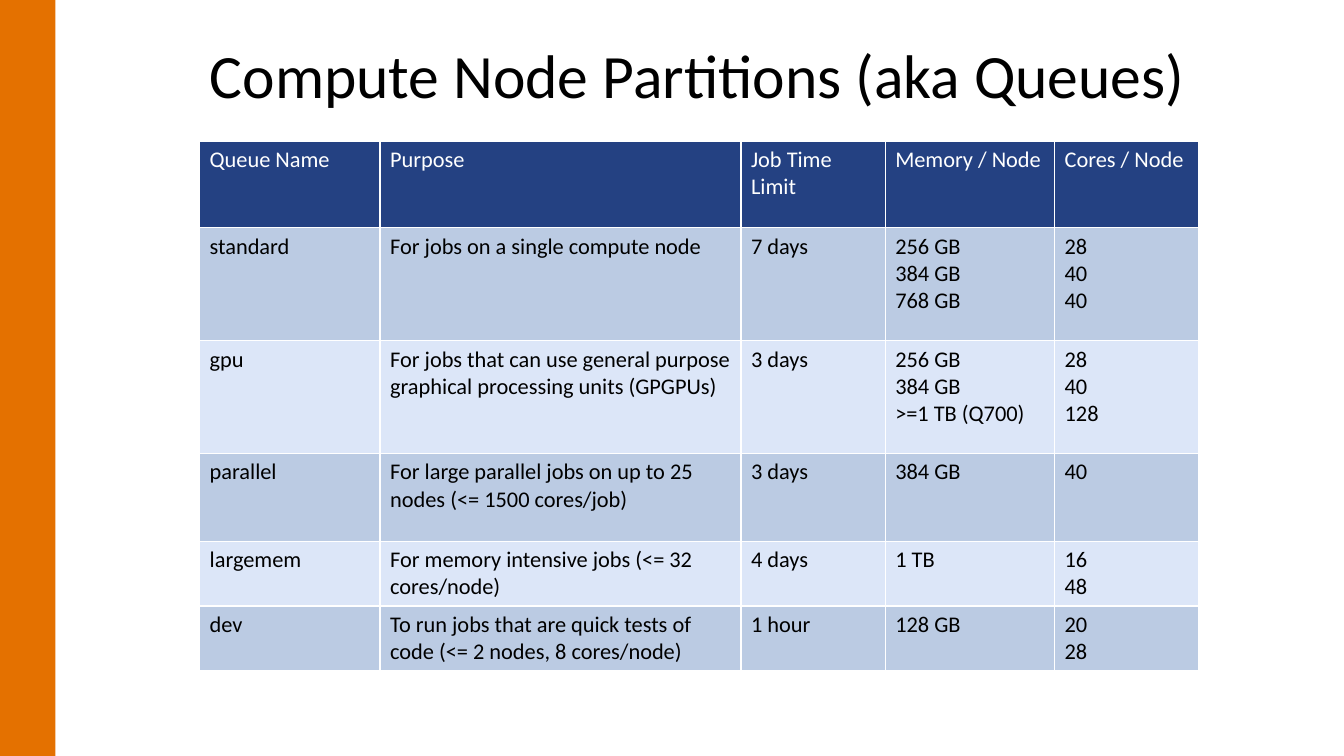
"""Build a slide with a table of the compute node partitions."""
import lxml.etree
import pptx
import pptx.dml.color
import pptx.enum.shapes
import pptx.enum.text
import pptx.oxml.ns
import pptx.util

Inches = pptx.util.Inches
Pt = pptx.util.Pt
FONT = "Calibri"
COLORS = {
    "bar": "E47100",
    "head": "244182",
    "dark": "BBCBE3",
    "light": "DCE6F8",
    "text": "000000",
    "white": "FFFFFF",
}
WIDTHS = [1.79, 3.58, 1.43, 1.68, 1.43]
HEIGHTS = [0.86, 1.12, 1.12, 0.87, 0.64, 0.64]
QUEUES = [
    ["Queue Name", "Purpose", "Job Time Limit", "Memory / Node", "Cores / Node"],
    ["standard", "For jobs on a single compute node", "7 days",
     "256 GB\n384 GB\n768 GB", "28\n40\n40"],
    ["gpu", "For jobs that can use general purpose graphical processing units (GPGPUs)",
     "3 days", "256 GB\n384 GB\n>=1 TB (Q700)", "28\n40\n128"],
    ["parallel", "For large parallel jobs on up to 25 nodes (<= 1500 cores/job)",
     "3 days", "384 GB", "40"],
    ["largemem", "For memory intensive jobs (<= 32 cores/node)", "4 days",
     "1 TB", "16\n48"],
    ["dev", "To run jobs that are quick tests of code (<= 2 nodes, 8 cores/node)",
     "1 hour", "128 GB", "20\n28"],
]


def color(name):
    return pptx.dml.color.RGBColor.from_string(COLORS[name])


def style(frame, size, name):
    for para in frame.paragraphs:
        for run in para.runs:
            run.font.name = FONT
            run.font.size = Pt(size)
            run.font.bold = False
            run.font.color.rgb = color(name)


def add_bar(slide, height):
    bar = slide.shapes.add_shape(
        pptx.enum.shapes.MSO_SHAPE.RECTANGLE, 0, 0, Inches(0.55), height)
    bar.shadow.inherit = False
    bar.fill.solid()
    bar.fill.fore_color.rgb = color("bar")
    bar.line.fill.background()


def set_title(slide, text):
    title = slide.shapes.title
    title.left, title.top = Inches(1.98), Inches(0.4)
    title.width, title.height = Inches(10.5), Inches(1.45)
    frame = title.text_frame
    frame.text = text
    frame.word_wrap = True
    frame.auto_size = pptx.enum.text.MSO_AUTO_SIZE.NONE
    frame.vertical_anchor = pptx.enum.text.MSO_ANCHOR.TOP
    para = frame.paragraphs[0]
    para.alignment = pptx.enum.text.PP_ALIGN.LEFT
    para.line_spacing = 0.9
    style(frame, 44, "text")


def set_edges(cell):
    props = cell._tc.get_or_add_tcPr()
    qn = pptx.oxml.ns.qn
    for side in "LRTB":
        line = lxml.etree.SubElement(props, qn(f"a:ln{side}"), w=str(Pt(1)))
        fill = lxml.etree.SubElement(line, qn("a:solidFill"))
        lxml.etree.SubElement(fill, qn("a:srgbClr"), val=COLORS["white"])


def fill_cell(cell, text, back, fore):
    cell.text_frame.text = text
    style(cell.text_frame, 16, fore)
    set_edges(cell)
    cell.fill.solid()
    cell.fill.fore_color.rgb = color(back)


def add_grid(slide):
    grid = slide.shapes.add_table(
        len(HEIGHTS), len(WIDTHS), Inches(1.98), Inches(1.4),
        Inches(sum(WIDTHS)), Inches(sum(HEIGHTS))).table
    for col, width in zip(grid.columns, WIDTHS):
        col.width = Inches(width)
    for row, height in zip(grid.rows, HEIGHTS):
        row.height = Inches(height)
    for i, queue in enumerate(QUEUES):
        if i == 0:
            look = ("head", "white")
        else:
            look = ("dark" if i % 2 else "light", "text")
        for j, text in enumerate(queue):
            fill_cell(grid.cell(i, j), text, *look)


def main():
    deck = pptx.Presentation()
    deck.slide_width, deck.slide_height = Inches(13.33), Inches(7.5)
    slide = deck.slides.add_slide(deck.slide_layouts[5])
    add_bar(slide, deck.slide_height)
    set_title(slide, "Compute Node Partitions (aka Queues)")
    add_grid(slide)
    deck.save("out.pptx")


if __name__ == "__main__":
    main()
